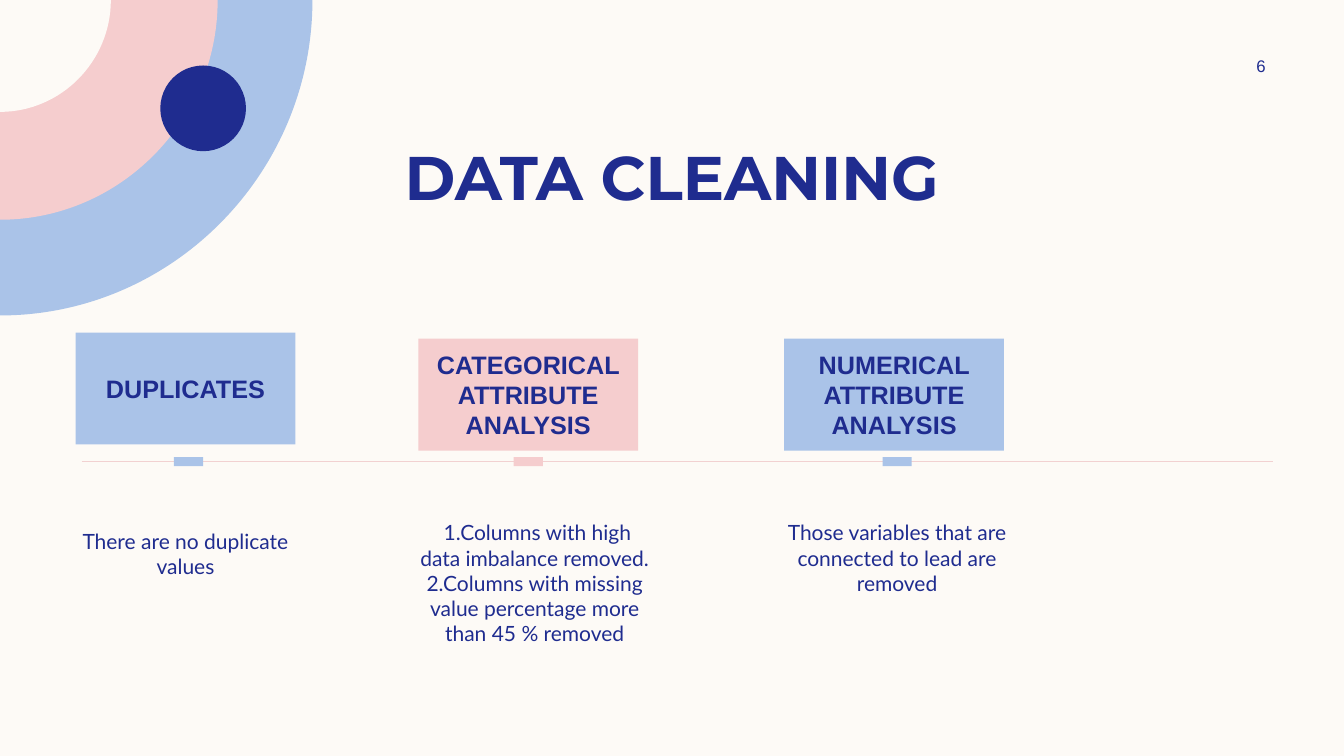
from lxml import etree
from pptx import Presentation
from pptx.dml.color import RGBColor
from pptx.enum.shapes import MSO_CONNECTOR, MSO_SHAPE
from pptx.enum.text import MSO_ANCHOR, PP_ALIGN
from pptx.oxml.ns import qn
from pptx.util import Inches, Pt

RECT, OVAL = MSO_SHAPE.RECTANGLE, MSO_SHAPE.OVAL
STRAIGHT = MSO_CONNECTOR.STRAIGHT
TOP, MIDDLE = MSO_ANCHOR.TOP, MSO_ANCHOR.MIDDLE
CENTER = PP_ALIGN.CENTER

COLORS = {"cream": "FDFAF6", "blue": "AAC3E8", "pink": "F5CDCE",
          "navy": "1F2C8F", "rule": "F2D1D1"}

TITLE = "DATA CLEANING"
PAGE_NUMBER = "6"
# heading, colour, heading (left, top), marker centre, body box, paragraphs
STEPS = [
    ("DUPLICATES", "blue", (0.75, 3.3), 1.87, (0.75, 5.19, 2.18, 0.87),
     ["There are no duplicate values"]),
    ("CATEGORICAL ATTRIBUTE ANALYSIS", "pink", (4.15, 3.36), 5.24, (4.15, 5.11, 2.31, 1.53),
     [" 1.Columns with high data imbalance removed.",
      "2.Columns with missing value percentage more than 45 % removed"]),
    ("NUMERICAL ATTRIBUTE ANALYSIS", "blue", (7.78, 3.36), 8.9, (7.81, 5.11, 2.18, 0.87),
     ["Those variables that are connected to lead are removed"]),
]
HEADING_SIZE = (2.18, 1.11)
MARKER_W, MARKER_H = 0.29, 0.09
TIMELINE_Y, TIMELINE_START, TIMELINE_END = 4.58, 0.81, 12.63
CORNER_DISCS = [(3.1, 3.13, "blue"), (2.16, 2.18, "pink"), (1.1, 1.11, "cream")]
CORNER_DOT = (1.59, 0.65, 0.85, 0.85)
ARC_PULL = 0.55  # Bezier handle length of a quarter circle, per radius


def rgb(name):
    return RGBColor.from_string(COLORS[name])


def paint(sp, color):
    sp.shadow.inherit = False
    sp.fill.solid()
    sp.fill.fore_color.rgb = rgb(color)
    sp.line.fill.background()


def add_filled(s, kind, box, color):
    sp = s.shapes.add_shape(kind, *map(Inches, box))
    paint(sp, color)
    return sp


def add_corner_disc(s, rx, ry, color):
    """Quarter disc centred on the slide's top left corner, its last side bent to an arc."""
    builder = s.shapes.build_freeform(0, 0)
    builder.add_line_segments([(Inches(rx), 0), (0, Inches(ry))], close=True)
    sp = builder.convert_to_shape()
    chord = sp._element.findall(".//" + qn("a:lnTo"))[1]
    arc = etree.Element(qn("a:cubicBezTo"))
    for x, y in [(rx, ry * ARC_PULL), (rx * ARC_PULL, ry), (0, ry)]:
        etree.SubElement(arc, qn("a:pt"), x=str(Inches(x)), y=str(Inches(y)))
    chord.getparent().replace(chord, arc)
    paint(sp, color)


def write(sp, paragraphs, font, size, bold=False, anchor=TOP, insets=(0.1, 0.05)):
    """Fill a shape with centred navy text; insets are (sides, top and bottom)."""
    tf = sp.text_frame
    tf.word_wrap = True
    tf.vertical_anchor = anchor
    tf.margin_left = tf.margin_right = Inches(insets[0])
    tf.margin_top = tf.margin_bottom = Inches(insets[1])
    for i, text in enumerate(paragraphs):
        p = tf.add_paragraph() if i else tf.paragraphs[0]
        p.alignment = CENTER
        r = p.add_run()
        r.text = text
        r.font.name, r.font.size, r.font.bold = font, Pt(size), bold
        r.font.color.rgb = rgb("navy")


def add_text(s, box, *args, **kwargs):
    write(s.shapes.add_textbox(*map(Inches, box)), *args, **kwargs)


def add_timeline(s):
    y = Inches(TIMELINE_Y)
    line = s.shapes.add_connector(STRAIGHT, Inches(TIMELINE_START), y, Inches(TIMELINE_END), y)
    line.line.color.rgb = rgb("rule")
    line.line.width = Pt(1)
    etree.SubElement(line._element.spPr, qn("a:effectLst"))


def add_step(s, heading, color, corner, marker_x, body_box, body):
    sp = add_filled(s, RECT, corner + HEADING_SIZE, color)
    write(sp, [heading], "Arial", 18, bold=True, anchor=MIDDLE, insets=(0, 0))
    marker = (marker_x - MARKER_W / 2, TIMELINE_Y - MARKER_H / 2, MARKER_W, MARKER_H)
    add_filled(s, RECT, marker, color)
    add_text(s, body_box, body, "Lato", 15, insets=(0, 0.05))


def main():
    prs = Presentation()
    prs.slide_width, prs.slide_height = Inches(40 / 3), Inches(7.5)
    s = prs.slides.add_slide(prs.slide_layouts[6])
    s.background.fill.solid()
    s.background.fill.fore_color.rgb = rgb("cream")

    for disc in CORNER_DISCS:
        add_corner_disc(s, *disc)
    add_filled(s, OVAL, CORNER_DOT, "navy")
    add_timeline(s)
    add_text(s, (0.83, 1.33, 11.67, 0.84), [TITLE], "Montserrat", 44, bold=True)
    add_text(s, (11.97, 0.5, 1.08, 0.3), [PAGE_NUMBER], "Arial", 12, anchor=MIDDLE)
    for step in STEPS:
        add_step(s, *step)
    prs.save("out.pptx")


if __name__ == "__main__":
    main()
